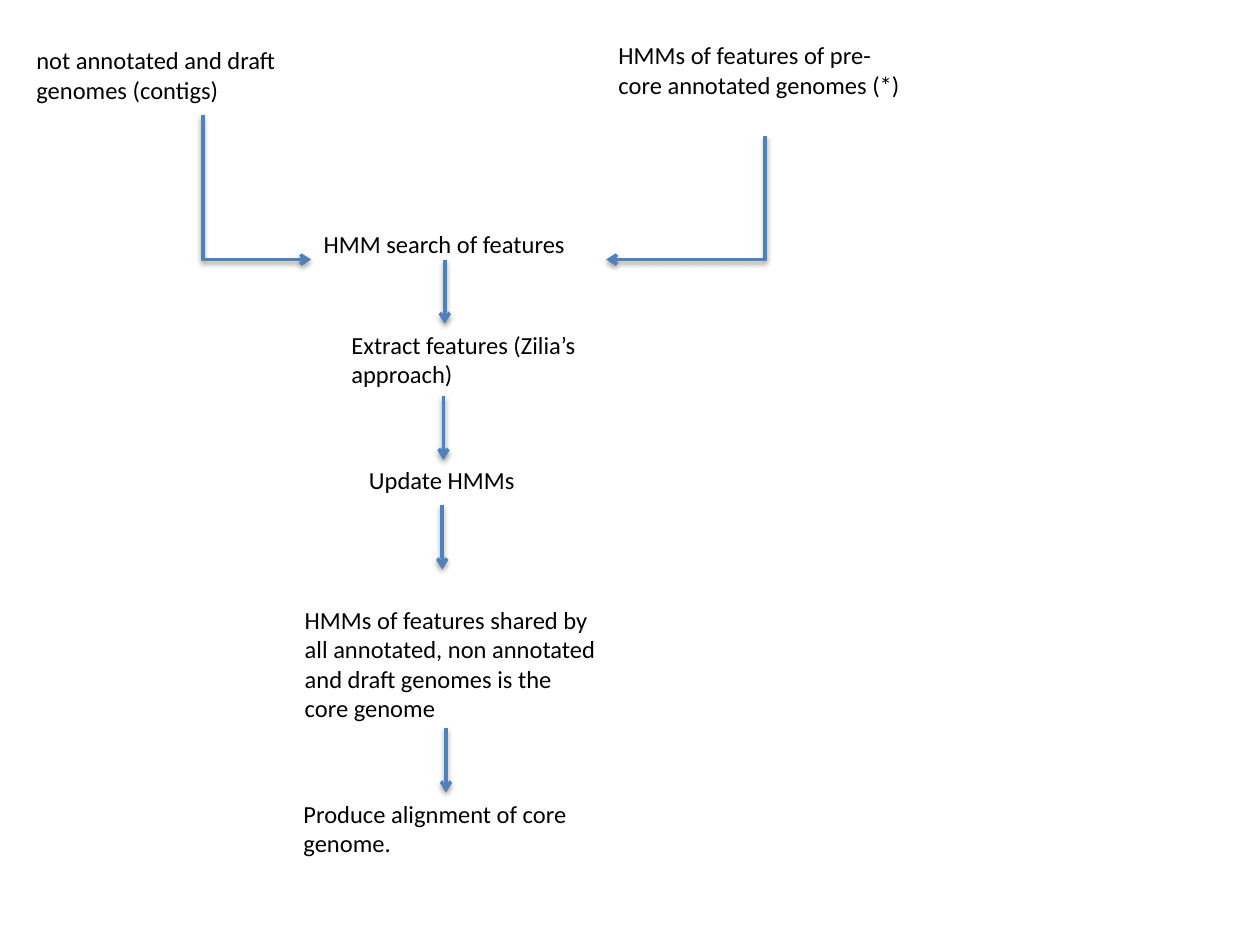
from lxml import etree
from pptx import Presentation
from pptx.dml.color import RGBColor
from pptx.enum.shapes import MSO_CONNECTOR as Connector
from pptx.enum.text import MSO_AUTO_SIZE as AutoSize
from pptx.oxml import parse_xml
from pptx.oxml.ns import qn
from pptx.util import Inches, Pt

STEPS = [
    ("HMMs of features of pre-core annotated genomes (*)", 4.81, 0.27, 2.51, 0.81),
    ("not annotated and draft genomes (contigs)", 0.19, 0.31, 2.51, 0.81),
    ("HMM search of features", 2.47, 1.77, 2.34, 0.57),
    ("Extract features (Zilia’s approach)", 2.69, 2.57, 2.51, 0.81),
    ("Update HMMs", 2.83, 3.64, 1.58, 0.57),
    ("HMMs of features shared by all annotated, non annotated and draft genomes "
     "is the core genome", 2.32, 4.75, 2.51, 1.28),
    ("Produce alignment of core genome.", 2.31, 6.29, 2.51, 0.81),
]
INPUT_ARROWS = [((1.61, 0.91), (2.47, 2.06)), ((6.07, 1.08), (4.81, 2.06))]
DOWN_ARROWS = [(3.53, 2.06), (3.52, 3.14), (3.51, 4.01), (3.54, 5.78)]
DOWN_LENGTH = 0.51
SHADOW = (
    '<a:effectLst xmlns:a="http://schemas.openxmlformats.org/drawingml/2006/main">'
    '<a:outerShdw blurRad="40000" dist="20000" dir="5400000" rotWithShape="0">'
    '<a:srgbClr val="000000"><a:alpha val="38000"/></a:srgbClr>'
    '</a:outerShdw></a:effectLst>'
)


def color(hex_code):
    return RGBColor.from_string(hex_code)


def add_step(slide, text, left, top, width, height):
    step = slide.shapes.add_textbox(*map(Inches, (left, top, width, height)))
    frame = step.text_frame
    frame.word_wrap = True
    frame.auto_size = AutoSize.SHAPE_TO_FIT_TEXT
    paragraph = frame.paragraphs[0]
    paragraph.text = text
    paragraph.font.name = "Calibri"
    paragraph.font.size = Pt(14)
    paragraph.font.color.rgb = color("000000")


def add_arrow(slide, kind, start, end):
    arrow = slide.shapes.add_connector(kind, *map(Inches, (*start, *end)))
    arrow.line.color.rgb = color("4F81BD")
    arrow.line.width = Pt(2)
    properties = arrow._element.spPr
    etree.SubElement(properties.find(qn("a:ln")), qn("a:tailEnd"), type="arrow")
    properties.append(parse_xml(SHADOW))
    return arrow


def add_input_arrow(slide, start, end):
    (x1, y1), (x2, y2) = start, end
    center_x, center_y = (x1 + x2) / 2, (y1 + y2) / 2
    half_width, half_height = abs(y2 - y1) / 2, abs(x2 - x1) / 2
    side = half_width if x2 > x1 else -half_width
    arrow = add_arrow(slide, Connector.ELBOW,
                      (center_x + side, center_y - half_height),
                      (center_x - side, center_y + half_height))
    properties = arrow._element.spPr
    properties.find(qn("a:prstGeom")).set("prst", "bentConnector2")
    rotation = 270 if x2 > x1 else 90
    properties.find(qn("a:xfrm")).set("rot", str(rotation * 60000))


def main():
    deck = Presentation()
    deck.slide_width, deck.slide_height = Inches(10), Inches(7.5)
    slide = deck.slides.add_slide(deck.slide_layouts[6])
    for step in STEPS:
        add_step(slide, *step)
    for start, end in INPUT_ARROWS:
        add_input_arrow(slide, start, end)
    for x, y in DOWN_ARROWS:
        add_arrow(slide, Connector.STRAIGHT, (x, y), (x, y + DOWN_LENGTH))
    deck.save("out.pptx")


if __name__ == "__main__":
    main()
